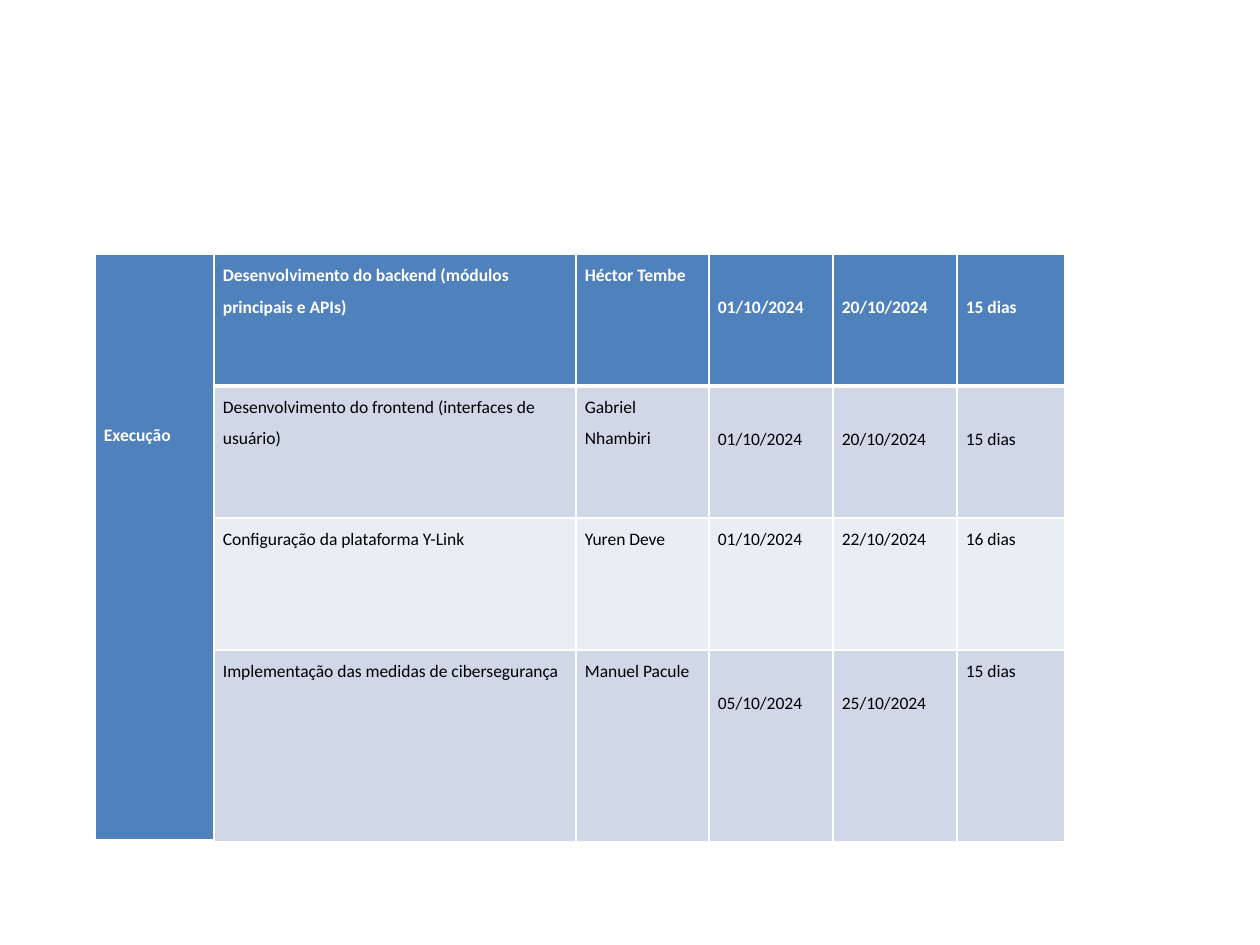
import dataclasses
import typing

import lxml.etree
import pptx
import pptx.dml.color
import pptx.oxml.ns
import pptx.util

EMU_PER_PX = 914400 / 126
LINE = 32
COLORS = {
    "header": "4F81BD",
    "dark_band": "D0D8E8",
    "light_band": "E9EDF4",
    "white": "FFFFFF",
    "black": "000000",
}
COLUMN_WIDTHS = [119, 362, 133, 124, 124, 108]
ROW_HEIGHT = 132
THIN, THICK = 1, 3


@dataclasses.dataclass(frozen=True)
class Task:
    name: str
    owner: str
    start: str
    end: str
    duration: str
    fill: str
    lowered: tuple[int, ...] = ()

    def texts(self) -> list[str]:
        return [self.name, self.owner, self.start, self.end, self.duration]


TASKS = [
    Task("Desenvolvimento do backend (módulos principais e APIs)", "Héctor Tembe",
         "01/10/2024", "20/10/2024", "15 dias", "header", (3, 4, 5)),
    Task("Desenvolvimento do frontend (interfaces de usuário)", "Gabriel Nhambiri",
         "01/10/2024", "20/10/2024", "15 dias", "dark_band", (3, 4, 5)),
    Task("Configuração da plataforma Y-Link", "Yuren Deve",
         "01/10/2024", "22/10/2024", "16 dias", "light_band"),
    Task("Implementação das medidas de cibersegurança", "Manuel Pacule",
         "05/10/2024", "25/10/2024", "15 dias", "dark_band", (3, 4)),
]


def px(length: int) -> pptx.util.Emu:
    return pptx.util.Emu(round(length * EMU_PER_PX))


def rgb(name: str) -> pptx.dml.color.RGBColor:
    return pptx.dml.color.RGBColor.from_string(COLORS[name])


def set_values(target: typing.Any, values: dict[str, typing.Any]) -> None:
    for name, value in values.items():
        setattr(target, name, value)


def add_borders(cell: typing.Any, top: int, bottom: int) -> None:
    properties = cell._tc.get_or_add_tcPr()
    qn = pptx.oxml.ns.qn
    for side, width in {"lnL": THIN, "lnR": THIN, "lnT": top, "lnB": bottom}.items():
        line = lxml.etree.SubElement(properties, qn(f"a:{side}"), w=str(pptx.util.Pt(width)))
        fill = lxml.etree.SubElement(line, qn("a:solidFill"))
        lxml.etree.SubElement(fill, qn("a:srgbClr"), val=COLORS["white"])


def fill_cell(cell: typing.Any, text: str, fill: str, row: int, lines_down: int) -> None:
    add_borders(cell, THICK if row == 1 else THIN, THICK if row == 0 else THIN)
    cell.fill.solid()
    cell.fill.fore_color.rgb = rgb(fill)
    set_values(cell, {
        "margin_left": px(9),
        "margin_right": px(9),
        "margin_top": px(lines_down * LINE),
        "margin_bottom": 0,
    })
    is_header = fill == "header"
    para = cell.text_frame.paragraphs[0]
    para.line_spacing = 1.5
    span = para.add_run()
    span.text = text
    set_values(span.font, {"name": "Calibri", "size": pptx.util.Pt(10), "bold": is_header})
    span.font.color.rgb = rgb("white" if is_header else "black")


def add_schedule(slide: typing.Any, left: int, top: int) -> None:
    frame = slide.shapes.add_table(
        len(TASKS), len(COLUMN_WIDTHS), px(left), px(top),
        px(sum(COLUMN_WIDTHS)), px(ROW_HEIGHT * len(TASKS)),
    )
    table = frame.table
    set_values(table, {"first_row": False, "horz_banding": False})
    for column, width in zip(table.columns, COLUMN_WIDTHS):
        column.width = px(width)
    for row in table.rows:
        row.height = px(ROW_HEIGHT)

    phase = table.cell(0, 0)
    phase.merge(table.cell(len(TASKS) - 1, 0))
    fill_cell(phase, "Execução", "header", 0, 5)
    for row, task in enumerate(TASKS):
        for column, text in enumerate(task.texts(), start=1):
            lines_down = 1 if column in task.lowered else 0
            fill_cell(table.cell(row, column), text, task.fill, row, lines_down)


def main() -> None:
    deck = pptx.Presentation()
    set_values(deck, {"slide_width": px(1260), "slide_height": px(945)})
    page = deck.slides.add_slide(deck.slide_layouts[6])
    add_schedule(page, 95, 254)
    deck.save("out.pptx")


if __name__ == "__main__":
    main()
